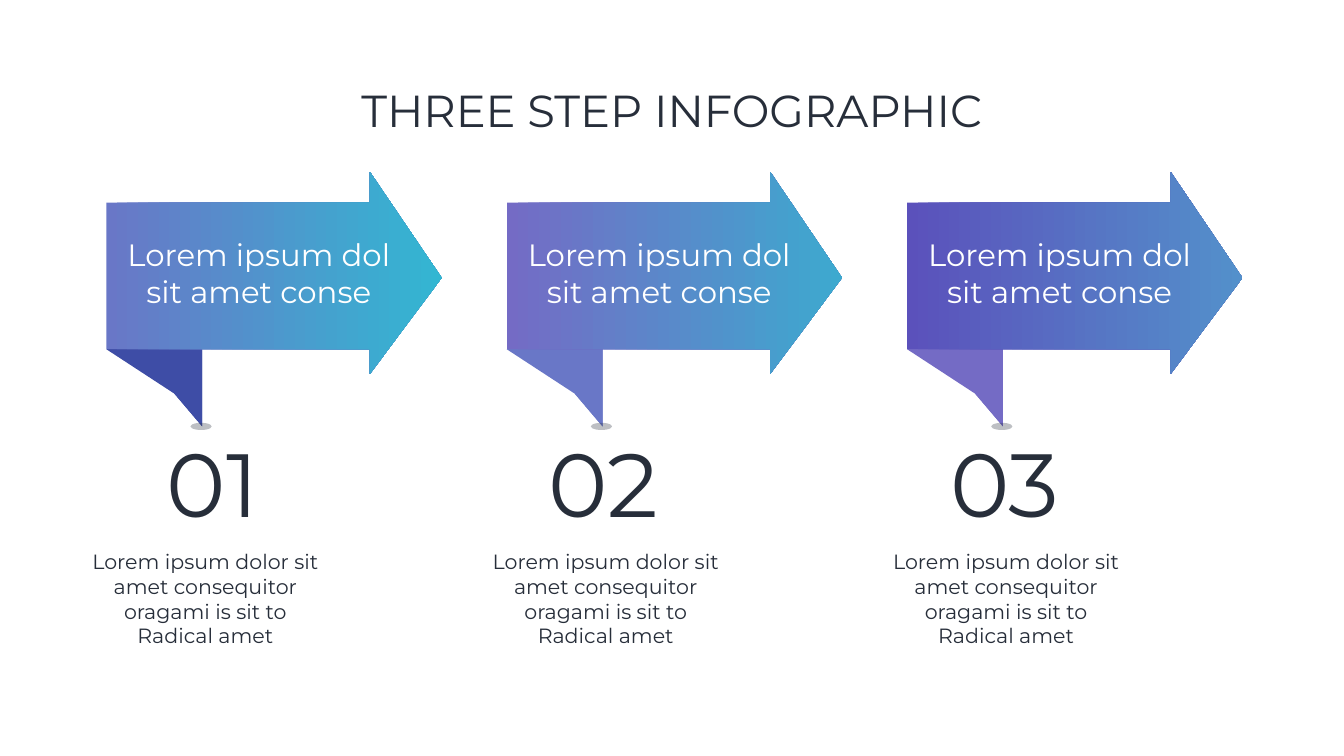
"""Build a three step infographic slide with folded arrows."""
import pptx
import pptx.dml.color
import pptx.enum.shapes
import pptx.enum.text
import pptx.util
import lxml.etree

Cm = pptx.util.Cm
Pt = pptx.util.Pt
RGBColor = pptx.dml.color.RGBColor
ALIGN = pptx.enum.text.PP_ALIGN
ANCHOR = pptx.enum.text.MSO_ANCHOR
AUTO_SIZE = pptx.enum.text.MSO_AUTO_SIZE

INK = RGBColor(0x27, 0x2E, 0x3A)
WHITE = RGBColor(0xFF, 0xFF, 0xFF)
TEAL = RGBColor(0x33, 0xB6, 0xD2)
SKY = RGBColor(0x3D, 0xA9, 0xCF)
BLUE = RGBColor(0x53, 0x90, 0xCB)
NAVY = RGBColor(0x3E, 0x4D, 0xA6)
PERIWINKLE = RGBColor(0x69, 0x77, 0xC7)
LAVENDER = RGBColor(0x74, 0x6B, 0xC5)
VIOLET = RGBColor(0x5B, 0x51, 0xBB)

FIRST_LEFT, STEP_PITCH = 5.36, 20.18
ARROW_POINTS = [(0, 10.21), (13.28, 10.21), (13.28, 8.66), (16.9, 14),
                (13.28, 18.85), (13.28, 17.6), (0, 17.6)]
FOLD_POINTS = [(0, 17.6), (4.83, 17.6), (4.83, 21.49), (3.43, 19.84)]
FACET_POINTS = [(4.83, 17.6), (4.42, 17.6), (3.43, 19.81), (3.43, 19.84), (4.83, 21.49)]
STEPS = [
    {"number": "01", "number_width": 5.13, "fold": NAVY, "gradient": (PERIWINKLE, TEAL)},
    {"number": "02", "number_width": 6.1, "fold": PERIWINKLE, "gradient": (LAVENDER, SKY)},
    {"number": "03", "number_width": 6.05, "fold": LAVENDER, "gradient": (VIOLET, BLUE)},
]
ARROW_TEXT = ["Lorem ipsum dol sit amet conse"]
DESCRIPTION = ["Lorem ipsum dolor sit", "amet consequitor", "oragami is sit to", "Radical amet"]

ARROW_FRAME = {"word_wrap": True, "vertical_anchor": ANCHOR.MIDDLE,
               "margin_left": Cm(0.51), "margin_right": Cm(2.03),
               "margin_top": Cm(0.25), "margin_bottom": Cm(0.25)}
TITLE_FRAME = {"word_wrap": True, "vertical_anchor": ANCHOR.MIDDLE, "auto_size": AUTO_SIZE.NONE}
NUMBER_FRAME = {"word_wrap": False, "auto_size": AUTO_SIZE.SHAPE_TO_FIT_TEXT}
DESCRIPTION_FRAME = {"word_wrap": True, "auto_size": AUTO_SIZE.SHAPE_TO_FIT_TEXT}
CENTERED = {"alignment": ALIGN.CENTER}
TITLE_PARAGRAPH = {"alignment": ALIGN.CENTER, "line_spacing": 0.9}
NUMBER_PARAGRAPH = {"alignment": ALIGN.RIGHT, "line_spacing": 0.9, "space_after": Pt(5.3)}


def write_text(shape, lines, frame_format, paragraph_format, size, color):
    text_frame = shape.text_frame
    for name, value in frame_format.items():
        setattr(text_frame, name, value)
    text_frame.text = "\n".join(lines)
    for paragraph in text_frame.paragraphs:
        for name, value in paragraph_format.items():
            setattr(paragraph, name, value)
        font = paragraph.runs[0].font
        for name, value in {"name": "Montserrat", "size": Pt(size)}.items():
            setattr(font, name, value)
        font.color.rgb = color


def add_outline(shapes, left, points):
    corners = [(Cm(left + x), Cm(y)) for x, y in points]
    builder = shapes.build_freeform(*corners[0])
    builder.add_line_segments(corners[1:], close=True)
    shape = builder.convert_to_shape()
    shape.shadow.inherit = False
    shape.line.fill.background()
    return shape


presentation = pptx.Presentation()
presentation.slide_width, presentation.slide_height = Cm(67.74), Cm(38.1)
slide = presentation.slides.add_slide(presentation.slide_layouts[5])
shapes = slide.shapes

title = shapes.title
for name, value in {"left": 4.65, "top": 2.03, "width": 58.42, "height": 7.37}.items():
    setattr(title, name, Cm(value))
write_text(title, ["THREE STEP INFOGRAPHIC"], TITLE_FRAME, TITLE_PARAGRAPH, 64, INK)

for index, step in enumerate(STEPS):
    left = FIRST_LEFT + index * STEP_PITCH

    for points in (FOLD_POINTS, FACET_POINTS):
        fold = add_outline(shapes, left, points)
        fold.fill.solid()
        fold.fill.fore_color.rgb = step["fold"]

    arrow = add_outline(shapes, left, ARROW_POINTS)
    arrow.fill.gradient()
    arrow.fill.gradient_angle = 0
    for stop, color in zip(arrow.fill.gradient_stops, step["gradient"]):
        stop.color.rgb = color
    write_text(arrow, ARROW_TEXT, ARROW_FRAME, CENTERED, 44, WHITE)

    ground = shapes.add_shape(pptx.enum.shapes.MSO_SHAPE.OVAL,
                              Cm(left + 4.24), Cm(21.31), Cm(1.07), Cm(0.36))
    ground.shadow.inherit = False
    ground.line.fill.background()
    ground.fill.solid()
    ground.fill.fore_color.rgb = INK
    ground_color = ground.fill._xPr.find(".//" + pptx.oxml.ns.qn("a:srgbClr"))
    lxml.etree.SubElement(ground_color, pptx.oxml.ns.qn("a:alpha"), val="30000")

    width = step["number_width"]
    number = shapes.add_textbox(Cm(left + 7.92 - width), Cm(22.07), Cm(width), Cm(5.18))
    write_text(number, [step["number"]], NUMBER_FRAME, NUMBER_PARAGRAPH, 128, INK)

    description = shapes.add_textbox(Cm(left - 1.13), Cm(27.56), Cm(12.24), Cm(5.28))
    write_text(description, DESCRIPTION, DESCRIPTION_FRAME, CENTERED, 29.4, INK)

presentation.save("out.pptx")
